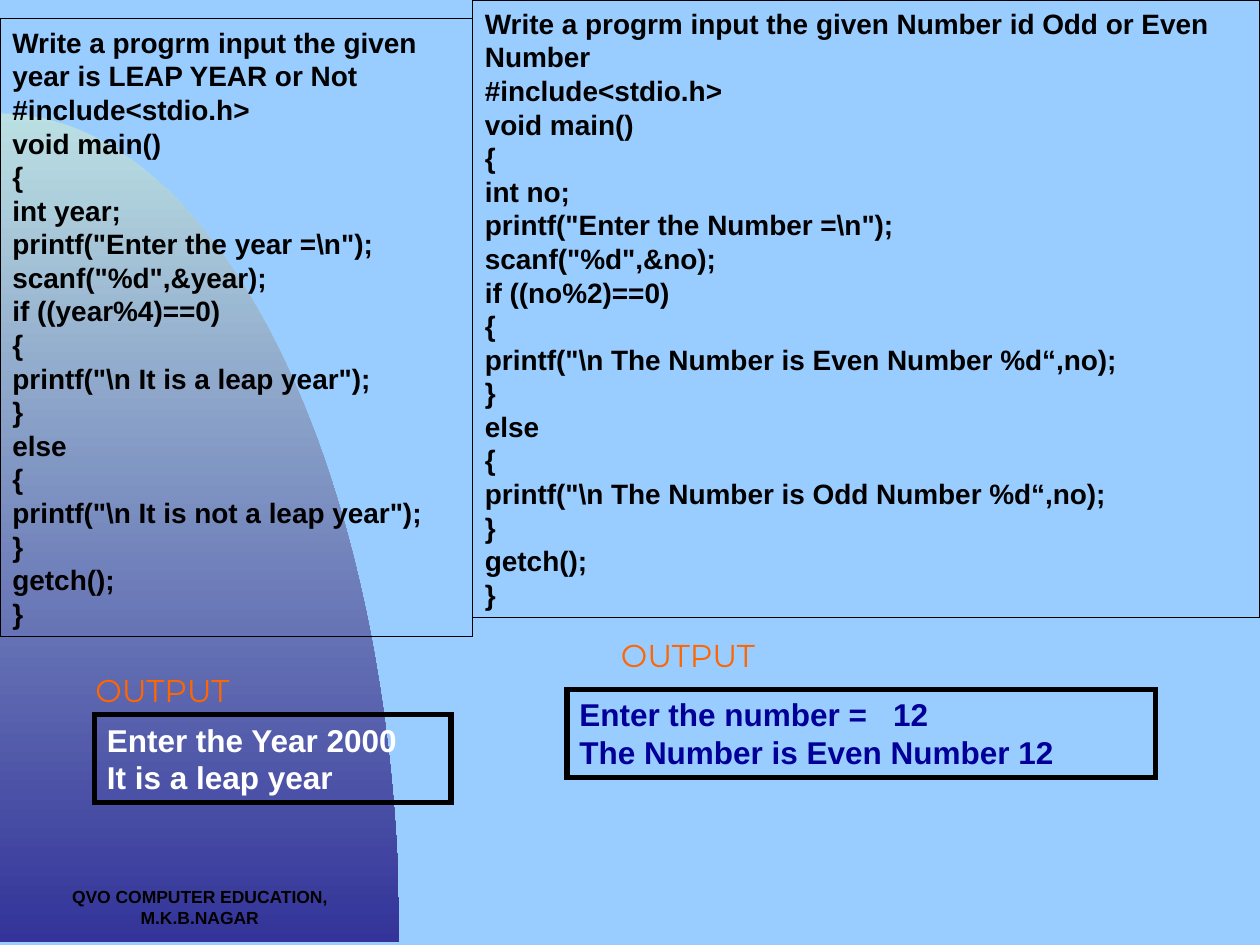
from dataclasses import dataclass
from math import cos, pi, sin
from typing import Optional

from lxml import etree
from pptx import Presentation
from pptx.dml.color import RGBColor
from pptx.enum.shapes import MSO_SHAPE
from pptx.enum.text import MSO_ANCHOR, MSO_AUTO_SIZE, PP_ALIGN
from pptx.oxml.ns import qn
from pptx.util import Inches, Pt

RECTANGLE = MSO_SHAPE.RECTANGLE
TOP, MIDDLE = MSO_ANCHOR.TOP, MSO_ANCHOR.MIDDLE
FIT_SHAPE = MSO_AUTO_SIZE.SHAPE_TO_FIT_TEXT
LEFT, CENTER = PP_ALIGN.LEFT, PP_ALIGN.CENTER

SKY = RGBColor(0x99, 0xCC, 0xFF)
PALE_TEAL = RGBColor(0xBB, 0xE0, 0xE3)
INDIGO = RGBColor(0x33, 0x33, 0x99)
NAVY = RGBColor(0x00, 0x00, 0x99)
ORANGE = RGBColor(0xFF, 0x66, 0x00)
BLACK = RGBColor(0x00, 0x00, 0x00)
WHITE = RGBColor(0xFF, 0xFF, 0xFF)

LEAP_YEAR_CODE = r'''Write a progrm input the given year is LEAP YEAR or Not
#include<stdio.h>
void main()
{
int year;
printf("Enter the year =\n");
scanf("%d",&year);
if ((year%4)==0)
{
printf("\n It is a leap year");
}
else
{
printf("\n It is not a leap year");
}
getch();
}'''

ODD_EVEN_CODE = r'''Write a progrm input the given Number id Odd or Even Number
#include<stdio.h>
void main()
{
int no;
printf("Enter the Number =\n");
scanf("%d",&no);
if ((no%2)==0)
{
printf("\n The Number is Even Number %d“,no);
}
else
{
printf("\n The Number is Odd Number %d“,no);
}
getch();
}'''


@dataclass
class Panel:
    left: float
    top: float
    width: float
    height: float
    text: str
    size: int
    color: RGBColor
    border: float
    anchor: MSO_ANCHOR = TOP
    tab: Optional[float] = None


PANELS = [
    Panel(0, 0.15, 3.75, 4.9, LEAP_YEAR_CODE, 16, BLACK, 0.75, MIDDLE),
    Panel(3.75, 0, 6.25, 4.9, ODD_EVEN_CODE, 16, BLACK, 0.75, MIDDLE),
    Panel(4.5, 5.47, 4.67, 0.7, "Enter the number =\t12\nThe Number is Even Number 12",
          18, NAVY, 3, tab=2.49),
    Panel(0.75, 5.67, 2.83, 0.7, "Enter the Year 2000\nIt is a leap year", 18, WHITE, 3),
]
OUTPUT_LABELS = [(4.5, 5), (0.33, 5.28)]


def format_text(text_frame, size: int, color: RGBColor, font: str = "Arial",
                bold: bool = True, alignment: PP_ALIGN = LEFT) -> None:
    for paragraph in text_frame.paragraphs:
        paragraph.alignment = alignment
        for run in paragraph.runs:
            run.font.name = font
            run.font.size = Pt(size)
            run.font.bold = bold
            run.font.color.rgb = color


def add_tab_stop(paragraph, position: float) -> None:
    properties = paragraph._p.get_or_add_pPr()
    tabs = etree.SubElement(properties, qn("a:tabLst"))
    etree.SubElement(tabs, qn("a:tab"), pos=str(Inches(position)), algn="l")


def add_panel(slide, panel: Panel) -> None:
    shape = slide.shapes.add_shape(RECTANGLE, Inches(panel.left), Inches(panel.top),
                                   Inches(panel.width), Inches(panel.height))
    shape.shadow.inherit = False
    shape.fill.background()
    shape.line.color.rgb = BLACK
    shape.line.width = Pt(panel.border)
    # Square corners
    line = shape._element.spPr.find(qn("a:ln"))
    etree.SubElement(line, qn("a:miter"), lim="800000")
    text_frame = shape.text_frame
    text_frame.text = panel.text
    text_frame.word_wrap = True
    text_frame.auto_size = FIT_SHAPE
    text_frame.vertical_anchor = panel.anchor
    if panel.tab is not None:
        add_tab_stop(text_frame.paragraphs[0], panel.tab)
    format_text(text_frame, panel.size, panel.color)


def add_output_label(slide, left: float, top: float) -> None:
    box = slide.shapes.add_textbox(Inches(left), Inches(top), Inches(1.92), Inches(0.25))
    text_frame = box.text_frame
    text_frame.text = "OUTPUT"
    text_frame.word_wrap = True
    format_text(text_frame, 18, ORANGE, "Montserrat", bold=False, alignment=CENTER)
    # Outlined letters
    outline = etree.Element(qn("a:ln"), w=str(Pt(0.75)))
    fill = etree.SubElement(outline, qn("a:solidFill"))
    etree.SubElement(fill, qn("a:srgbClr"), val=str(BLACK))
    text_frame.paragraphs[0].runs[0].font._element.insert(0, outline)


def add_quarter_ellipse(slide, top: float, width: float, height: float,
                        steps: int = 60) -> None:
    angles = [pi / 2 * step / steps for step in range(1, steps + 1)]
    bottom = top + height
    points = [(Inches(width * sin(angle)), Inches(bottom - height * cos(angle)))
              for angle in angles]
    builder = slide.shapes.build_freeform(0, Inches(top))
    builder.add_line_segments(points + [(0, Inches(bottom))], close=True)
    shape = builder.convert_to_shape()
    shape.shadow.inherit = False
    shape.line.fill.background()
    shape.fill.gradient()
    shape.fill.gradient_angle = 270
    for stop, color, position in zip(shape.fill.gradient_stops, (PALE_TEAL, INDIGO), (0, 1)):
        stop.color.rgb = color
        stop.position = position


def add_footer(slide) -> None:
    box = slide.shapes.add_textbox(0, Inches(6.98), Inches(3.17), Inches(0.52))
    box.text_frame.word_wrap = True
    box.text_frame.text = "QVO COMPUTER EDUCATION, M.K.B.NAGAR"
    format_text(box.text_frame, 10, BLACK, alignment=CENTER)


def main() -> None:
    presentation = Presentation()
    presentation.slide_width, presentation.slide_height = Inches(10), Inches(7.5)
    slide = presentation.slides.add_slide(presentation.slide_layouts[6])

    # Background
    slide.background.fill.solid()
    slide.background.fill.fore_color.rgb = SKY
    add_quarter_ellipse(slide, top=0.9, width=3.17, height=6.58)
    add_footer(slide)

    # Programs and their output
    for panel in PANELS:
        add_panel(slide, panel)
    for left, top in OUTPUT_LABELS:
        add_output_label(slide, left, top)

    presentation.save("out.pptx")


if __name__ == "__main__":
    main()
